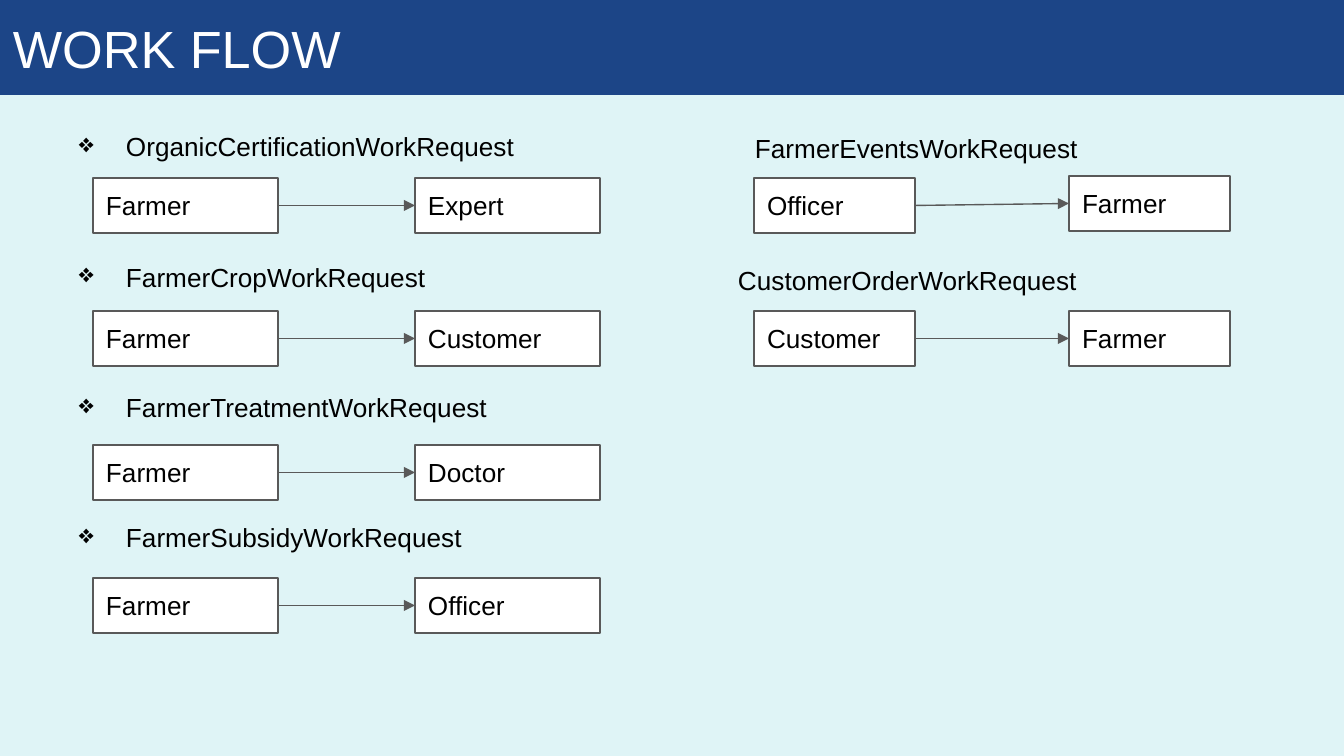
from pptx import Presentation
from pptx.util import Pt
from pptx.dml.color import RGBColor
from pptx.enum.shapes import MSO_SHAPE as Shape, MSO_CONNECTOR as Link
from pptx.enum.text import MSO_ANCHOR as Anchor, PP_ALIGN as Align
from pptx.oxml.ns import qn
from lxml.etree import SubElement as Sub

PX = 914400 / 134.4
NAVY = RGBColor(0x1C, 0x45, 0x87)
PALE = RGBColor(0xDF, 0xF4, 0xF6)
GREY = RGBColor(0x59, 0x59, 0x59)
WHITE = RGBColor(255, 255, 255)
BLACK = RGBColor(0, 0, 0)


def write(shape, lines, size=14, color=BLACK):
    frame = shape.text_frame
    frame.word_wrap = True
    frame.margin_left = frame.margin_right = round(13 * PX)
    frame.margin_top = frame.margin_bottom = round(13 * PX)
    frame.text = "\n".join(lines)
    for para in frame.paragraphs:
        para.alignment = Align.LEFT
        para.font.size = Pt(size)
        para.font.name = "Arial"
        para.font.color.rgb = color
    return frame


def block(x, y, w, h, text, fill, size=14, color=BLACK):
    shape = shapes.add_shape(Shape.RECTANGLE, *[round(v * PX) for v in (x, y, w, h)])
    shape.shadow.inherit = False
    shape.fill.solid()
    shape.fill.fore_color.rgb = fill
    shape.line.fill.background()
    write(shape, [text], size, color).vertical_anchor = Anchor.MIDDLE
    return shape


deck = Presentation()
deck.slide_width = round(1344 * PX)
deck.slide_height = round(756 * PX)
slide = deck.slides.add_slide(deck.slide_layouts[6])
shapes = slide.shapes
slide.background.fill.solid()
slide.background.fill.fore_color.rgb = PALE

block(0, 0, 1344, 95, "WORK FLOW", NAVY, 28, WHITE)

names = ["OrganicCertificationWorkRequest", "FarmerCropWorkRequest",
         "FarmerTreatmentWorkRequest", "FarmerSubsidyWorkRequest"]
body = shapes.add_textbox(*[round(v * PX) for v in (46, 113, 640, 480)])
frame = body.text_frame
frame.text = "\n".join(names)
for i, para in enumerate(write(body, names).paragraphs):
    para.line_spacing = 1.15
    if i:
        para.space_before = Pt(50.5)
    props = para._p.get_or_add_pPr()
    props.set("marL", str(round(67 * PX)))
    props.set("indent", str(round(-47 * PX)))
    mark = Sub(props, qn("a:buChar"))
    mark.set("char", "❖")
    props.insert(props.index(props.find(qn("a:defRPr"))), mark)

for x, y, name in [(742, 115, "FarmerEventsWorkRequest"),
                   (725, 247, "CustomerOrderWorkRequest")]:
    label = shapes.add_textbox(*[round(v * PX) for v in (x, y, 420, 60)])
    write(label, [name]).paragraphs[0].line_spacing = 1.15

sides = [
    (93, 415, 185, [("Farmer", "Expert", 0), ("Farmer", "Customer", 0),
                    ("Farmer", "Doctor", 0), ("Farmer", "Officer", 0)]),
    (754, 1069, 161, [("Officer", "Farmer", -2), ("Customer", "Farmer", 0)]),
]
for left, right, width, flows in sides:
    for row, (giver, taker, lift) in enumerate(flows):
        top = 178 + round(row * 133.4)
        start = block(left, top, width, 55, giver, WHITE)
        end = block(right, top + lift, width, 55, taker, WHITE)
        arrow = shapes.add_connector(Link.STRAIGHT, 0, 0, 0, 0)
        arrow.begin_connect(start, 3)
        arrow.end_connect(end, 1)
        for part in (start, end, arrow):
            part.line.color.rgb = GREY
            part.line.width = Pt(0.75)
        Sub(arrow.line._get_or_add_ln(), qn("a:tailEnd")).set("type", "triangle")
        Sub(arrow._element.spPr, qn("a:effectLst"))

deck.save("out.pptx")
